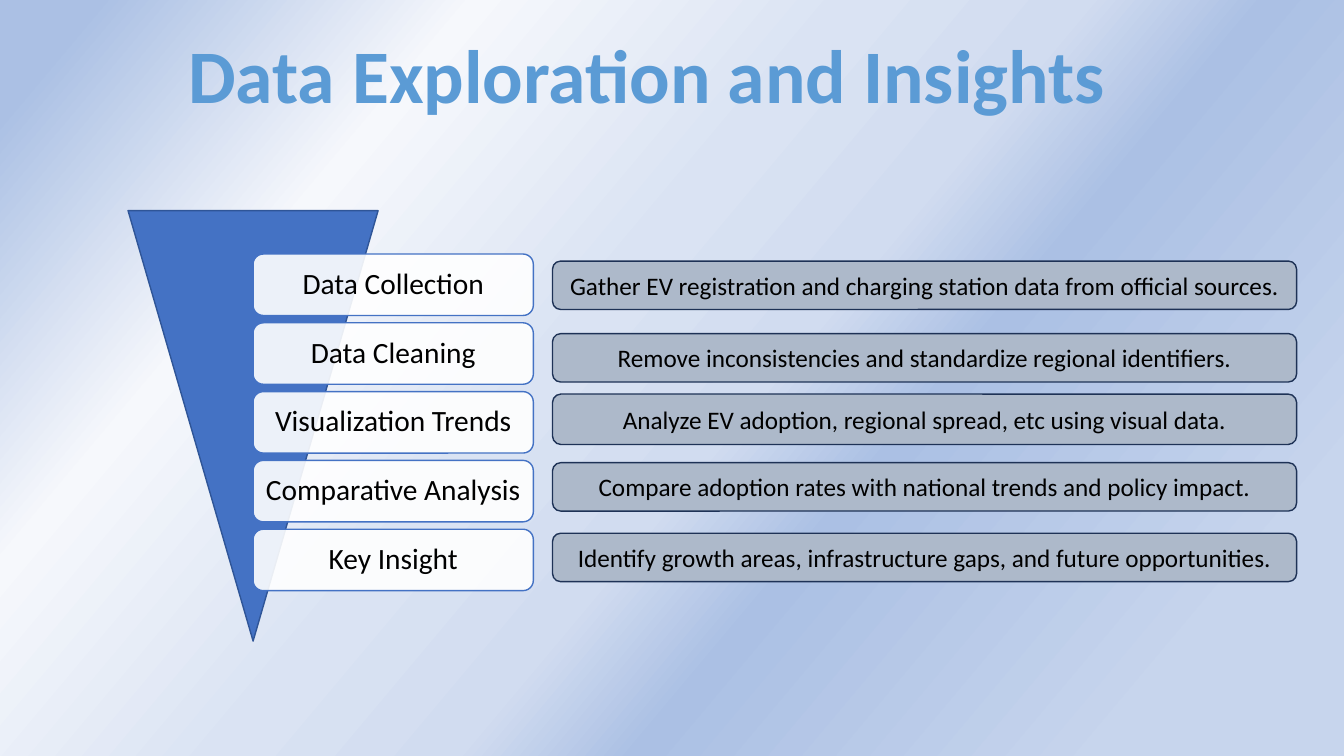
from dataclasses import dataclass

from lxml import etree
from pptx import Presentation
from pptx.dml.color import RGBColor
from pptx.enum import shapes, text
from pptx.oxml.ns import qn
from pptx.util import Inches, Pt


@dataclass(frozen=True)
class Theme:
    font: str = "Calibri"
    ink: str = "000000"
    funnel: str = "4472C4"
    funnel_edge: str = "2F5597"
    card: str = "FFFFFF"
    card_opacity: int = 90
    note: str = "ADB9CA"
    note_edge: str = "1E3256"
    title_size: int = 54
    stage_size: int = 21
    note_size: int = 18
    # Gradient stops: position, colour, opacity (percent)
    title_stops: tuple = ((0, "1F4E79", 100), (50, "5B9BD5", 100), (100, "9DC3E6", 100))
    backdrop_stops: tuple = (
        (12, "C7D5ED", 100), (36, "ABC0E4", 100), (45, "D1DCF0", 100),
        (57, "DAE3F3", 100), (76, "F6F8FC", 69), (95, "ABC0E4", 100))


THEME = Theme()

# Stage, its description, and the description's top and height
STAGES = [
    ("Data Collection",
     "Gather EV registration and charging station data from official sources.", 2.59, 0.48),
    ("Data Cleaning",
     "Remove inconsistencies and standardize regional identifiers.", 3.31, 0.48),
    ("Visualization Trends",
     "Analyze EV adoption, regional spread, etc using visual data.", 3.91, 0.5),
    ("Comparative Analysis",
     "Compare adoption rates with national trends and policy impact.", 4.59, 0.48),
    ("Key Insight",
     "Identify growth areas, infrastructure gaps, and future opportunities.", 5.29, 0.48),
]


def apply(target, values):
    for name, value in values.items():
        setattr(target, name, value)


def set_opacity(color_element, percent):
    if percent < 100:
        etree.SubElement(color_element, qn("a:alpha"), val=str(percent * 1000))


def set_gradient(fill, stops, angle, owner):
    """Fill with the stops; angle runs clockwise in degrees."""
    fill.gradient()
    fill.gradient_angle = (360 - angle) % 360
    stop_list = next(owner.iter(qn("a:gsLst")))
    for old in list(stop_list):
        stop_list.remove(old)
    for position, color, opacity in stops:
        stop = etree.SubElement(stop_list, qn("a:gs"), pos=str(position * 1000))
        set_opacity(etree.SubElement(stop, qn("a:srgbClr"), val=color), opacity)


def add_block(slide, kind, box, fill, edge):
    block = slide.shapes.add_shape(kind, *map(Inches, box))
    block.shadow.inherit = False
    block.fill.solid()
    block.fill.fore_color.rgb = RGBColor.from_string(fill)
    block.line.color.rgb = RGBColor.from_string(edge)
    block.line.width = Pt(1)
    return block


def write(frame, words, size, bold=False, line_spacing=None, **frame_values):
    apply(frame, {"vertical_anchor": text.MSO_ANCHOR.MIDDLE, "word_wrap": True, **frame_values})
    paragraph = frame.paragraphs[0]
    apply(paragraph, {"alignment": text.PP_ALIGN.CENTER, "line_spacing": line_spacing})
    run = paragraph.add_run()
    run.text = words
    apply(run.font, {"name": THEME.font, "size": Pt(size), "bold": bold})
    run.font.color.rgb = RGBColor.from_string(THEME.ink)
    return run


def add_title(slide, box, words):
    title = slide.shapes.title
    apply(title, dict(zip(("left", "top", "width", "height"), map(Inches, box))))
    run = write(title.text_frame, words, THEME.title_size, bold=True, word_wrap=False,
                vertical_anchor=text.MSO_ANCHOR.TOP,
                auto_size=text.MSO_AUTO_SIZE.SHAPE_TO_FIT_TEXT)
    set_gradient(run.font.fill, THEME.title_stops, 90, title.text_frame._txBody)


def add_funnel(slide, box):
    funnel = add_block(slide, shapes.MSO_SHAPE.ISOSCELES_TRIANGLE, box,
                       THEME.funnel, THEME.funnel_edge)
    funnel.rotation = 180


def add_stages(slide, box, names):
    left, top, width, height = box
    card_height = 0.61
    pitch = (height - card_height) / (len(names) - 1)
    for row, name in enumerate(names):
        card = add_block(slide, shapes.MSO_SHAPE.ROUNDED_RECTANGLE,
                         (left, top + row * pitch, width, card_height),
                         THEME.card, THEME.funnel)
        set_opacity(next(card.fill._xPr.iter(qn("a:srgbClr"))), THEME.card_opacity)
        write(card.text_frame, name, THEME.stage_size, line_spacing=0.9,
              margin_left=Inches(0.08), margin_right=Inches(0.08))


def add_descriptions(slide, left, width, rows):
    for words, top, height in rows:
        note = add_block(slide, shapes.MSO_SHAPE.ROUNDED_RECTANGLE,
                         (left, top, width, height), THEME.note, THEME.note_edge)
        write(note.text_frame, words, THEME.note_size)


def build_slide(deck):
    slide = deck.slides.add_slide(deck.slide_layouts.get_by_name("Title Only"))
    # Backdrop
    set_gradient(slide.background.fill, THEME.backdrop_stops, 220, slide.element)
    # Heading
    add_title(slide, (1.72, 0.23, 9.39, 1.01), "Data Exploration and Insights")
    # Funnel with its stages
    add_funnel(slide, (1.27, 2.09, 2.48, 4.27))
    add_stages(slide, (2.51, 2.52, 2.78, 3.34), [stage[0] for stage in STAGES])
    # Descriptions beside the stages
    add_descriptions(slide, 5.48, 7.38, [stage[1:] for stage in STAGES])


def main():
    deck = Presentation()
    deck.slide_width, deck.slide_height = Inches(13.33), Inches(7.5)
    build_slide(deck)
    deck.save("out.pptx")


if __name__ == "__main__":
    main()
